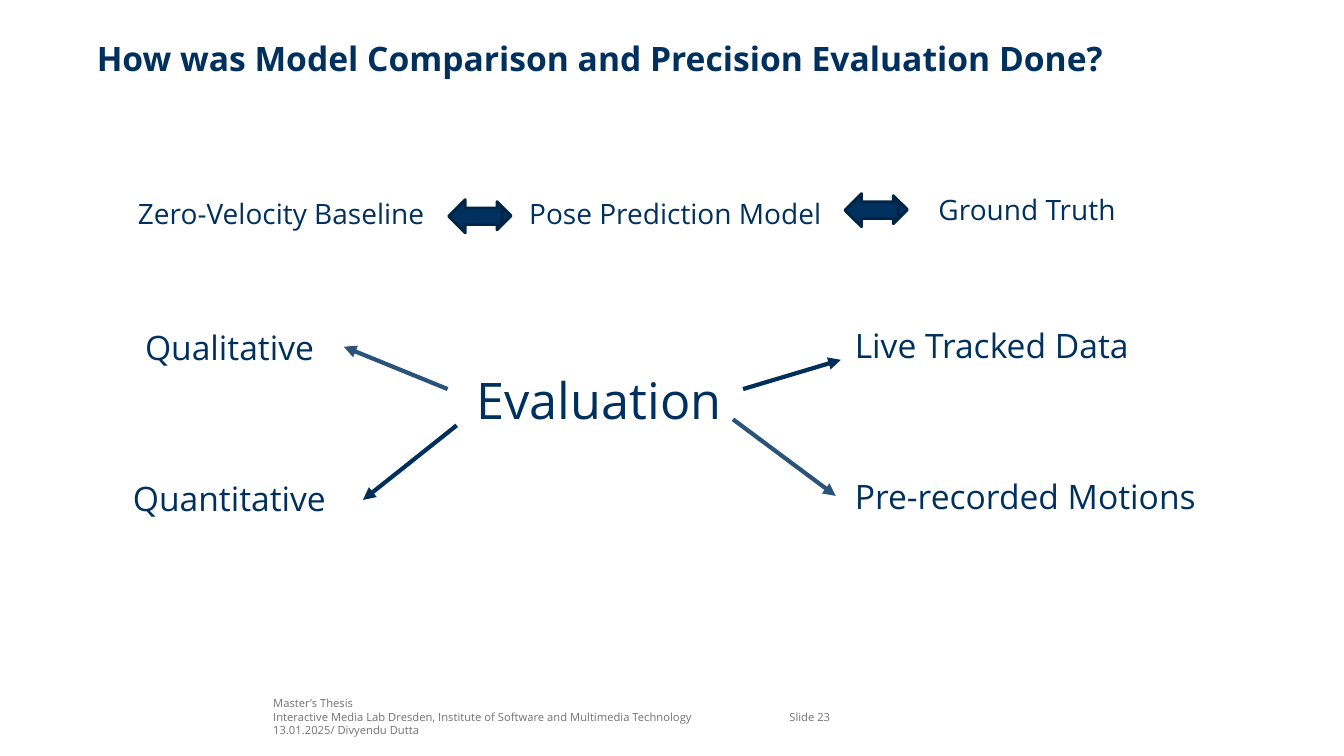
from lxml.etree import SubElement
from pptx import Presentation
from pptx.dml.color import RGBColor
from pptx.enum.shapes import MSO_CONNECTOR, MSO_SHAPE
from pptx.enum.text import MSO_ANCHOR as ANCHOR, MSO_AUTO_SIZE as AUTO, PP_ALIGN as ALIGN
from pptx.oxml.ns import qn
from pptx.util import Inches, Pt

COLORS = {"navy": "00305D", "edge": "002445", "dark": "002F5B",
          "light": "2B5378", "gray": "727277"}
FONT = "Open Sans"


def rgb(name):
    """Return the named palette colour."""
    return RGBColor.from_string(COLORS[name])


def format_text(tf, size, color="navy", bold=False, align=ALIGN.LEFT):
    """Format every run of a text frame."""
    for p in tf.paragraphs:
        p.alignment = align
        for r in p.runs:
            r.font.name, r.font.size, r.font.bold = FONT, Pt(size), bold
            r.font.color.rgb = rgb(color)


def clear_margins(tf):
    """Remove the inner margins of a text frame."""
    tf.margin_left = tf.margin_right = tf.margin_top = tf.margin_bottom = 0


def add_title(s, text, x, y, w, h):
    """Fill and place the title placeholder."""
    sp = s.shapes.title
    sp.left, sp.top, sp.width, sp.height = map(Inches, (x, y, w, h))
    tf = sp.text_frame
    tf.text = text
    tf.auto_size, tf.vertical_anchor = AUTO.NONE, ANCHOR.TOP
    clear_margins(tf)
    format_text(tf, 24, bold=True)


def add_label(s, text, x, y, w, h, size):
    """Add a one-line label in the main colour."""
    tf = s.shapes.add_textbox(*map(Inches, (x, y, w, h))).text_frame
    tf.word_wrap = True
    tf.text = text
    format_text(tf, size, align=ALIGN.JUSTIFY)


def add_small_print(s, text, x, y, w, h, anchor):
    """Add a gray footer text."""
    tf = s.shapes.add_textbox(*map(Inches, (x, y, w, h))).text_frame
    tf.word_wrap, tf.vertical_anchor = True, anchor
    clear_margins(tf)
    tf.text = text
    format_text(tf, 8, "gray")


def add_double_arrow(s, x, y):
    """Build a two-way arrow from two opposed block arrows."""
    for dx, dy, w, h, turn in ((0.21, 0.02, 0.41, 0.28, 0), (0, 0, 0.53, 0.33, 180)):
        sp = s.shapes.add_shape(MSO_SHAPE.RIGHT_ARROW,
                                *map(Inches, (x + dx, y + dy, w, h)))
        sp.rotation = turn
        sp.shadow.inherit = False
        sp.fill.solid()
        sp.fill.fore_color.rgb = rgb("navy")
        sp.line.color.rgb = rgb("edge")
        sp.line.width = Pt(2)


def add_arrow(s, x1, y1, x2, y2, color):
    """Draw a straight arrow pointing at its second end."""
    c = s.shapes.add_connector(MSO_CONNECTOR.STRAIGHT, *map(Inches, (x1, y1, x2, y2)))
    c.line.color.rgb = rgb(color)
    c.line.width = Pt(3)
    SubElement(c.line._get_or_add_ln(), qn("a:tailEnd"), type="triangle")
    SubElement(c._element.spPr, qn("a:effectLst"))


def add_comparison(s, x, y):
    """Place the row of compared models with arrows between them."""
    for text, dx, dy, w in (("Zero-Velocity Baseline", 0, 0, 3.88),
                            ("Pose Prediction Model", 3.88, 0, 3.63),
                            ("Ground Truth", 7.94, -0.04, 2.93)):
        add_label(s, text, x + dx, y + dy, w, 0.44, 20)
    for dx, dy in ((3.18, 0.08), (7.11, 0.02)):
        add_double_arrow(s, x + dx, y + dy)


def add_evaluation(s, x, y):
    """Place the evaluation hub with its four branches."""
    add_label(s, "Evaluation", x + 3.41, y + 0.44, 2.93, 0.71, 36)
    for text, dx, dy, w in (("Qualitative", 0.12, 0.02, 2.93),
                            ("Quantitative", 0, 1.52, 2.93),
                            ("Live Tracked Data", 7.16, 0, 3.57),
                            ("Pre-recorded Motions", 7.16, 1.5, 3.75)):
        add_label(s, text, x + dx, y + dy, w, 0.5, 24)
    for x1, y1, x2, y2, color in ((3.22, 0.69, 2.19, 0.27, "light"),
                                  (3.31, 1.05, 2.38, 1.79, "dark"),
                                  (6.05, 0.99, 7.07, 1.75, "light"),
                                  (6.15, 0.69, 7.12, 0.4, "dark")):
        add_arrow(s, x + x1, y + y1, x + x2, y + y2, color)


def add_footer(s, x, y):
    """Place the thesis details and the slide number."""
    details = ("Master’s Thesis",
               "Interactive Media Lab Dresden, Institute of Software and Multimedia Technology",
               "13.01.2025/ Divyendu Dutta")
    add_small_print(s, "\n".join(details), x, y, 4.9, 0.4, ANCHOR.BOTTOM)
    add_small_print(s, "Slide 23", x + 5.12, y, 0.77, 0.4, ANCHOR.MIDDLE)


def main():
    """Build and save the slide."""
    prs = Presentation()
    prs.slide_width, prs.slide_height = Inches(13.33), Inches(7.5)
    s = prs.slides.add_slide(prs.slide_layouts[5])
    add_footer(s, 2.71, 6.91)
    add_title(s, "How was Model Comparison and Precision Evaluation Done?",
              0.96, 0.38, 11.57, 0.75)
    add_comparison(s, 1.27, 1.9)
    add_evaluation(s, 1.22, 3.17)
    prs.save("out.pptx")


if __name__ == "__main__":
    main()
